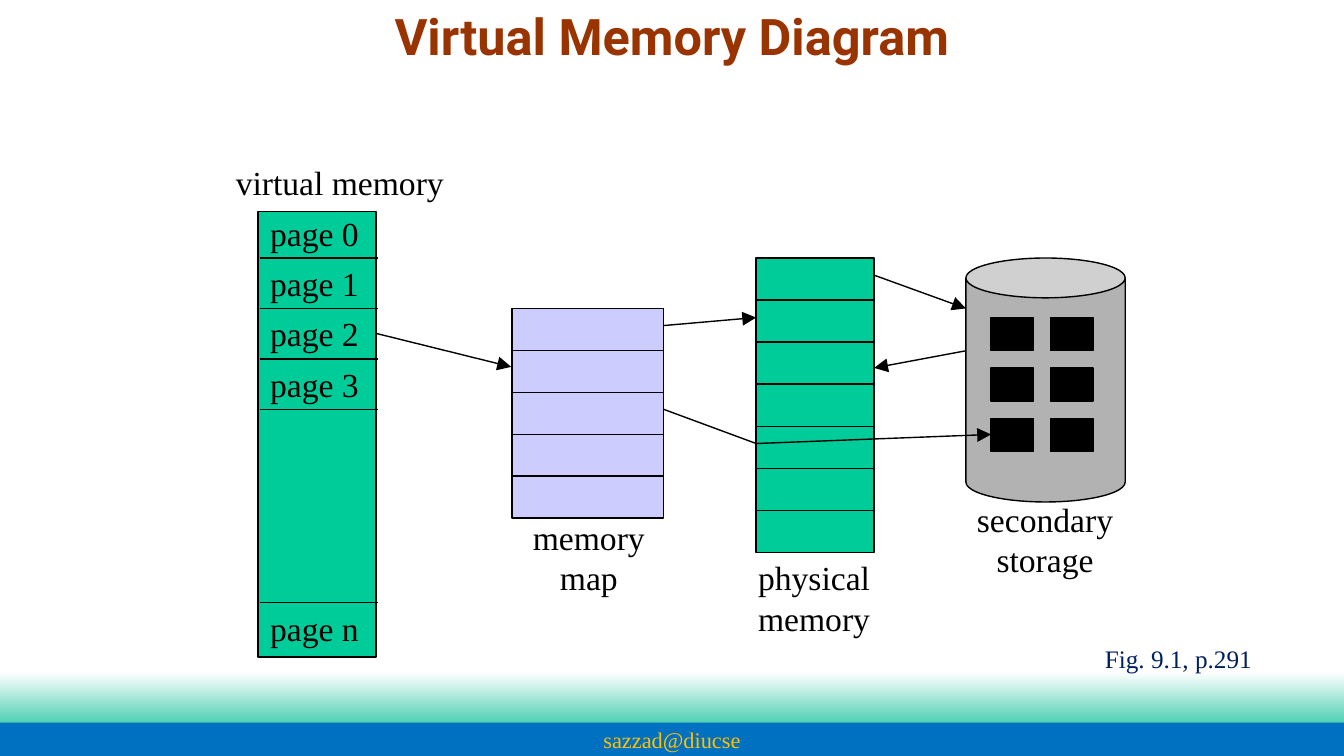
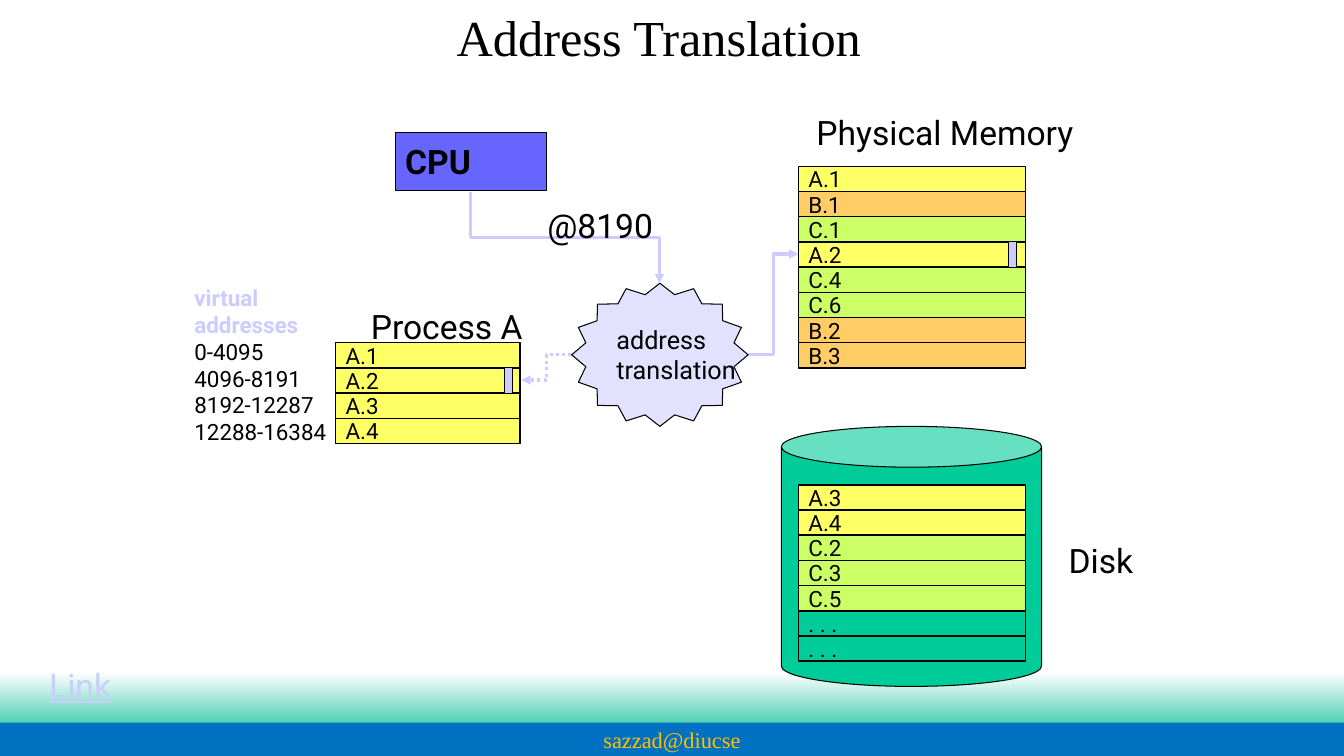
from dataclasses import dataclass, replace
from typing import Optional

from lxml.etree import SubElement
from pptx import Presentation
from pptx.dml.color import RGBColor
from pptx.enum.dml import MSO_LINE
from pptx.enum.shapes import MSO_CONNECTOR, MSO_SHAPE
from pptx.enum.text import MSO_ANCHOR, MSO_AUTO_SIZE, PP_ALIGN
from pptx.oxml.ns import qn
from pptx.util import Inches, Pt

WHITE = RGBColor(0xFF, 0xFF, 0xFF)
BLACK = RGBColor(0x00, 0x00, 0x00)
BLUE = RGBColor(0x00, 0x70, 0xC0)
GOLD = RGBColor(0xFF, 0xC0, 0x00)
MINT = RGBColor(0x50, 0xD0, 0xB4)
RUST = RGBColor(0x99, 0x33, 0x00)
NAVY = RGBColor(0x00, 0x20, 0x60)
GREEN = RGBColor(0x00, 0xCC, 0x99)
LILAC = RGBColor(0xCC, 0xCC, 0xFF)
INDIGO = RGBColor(0x66, 0x66, 0xFF)
GREY = RGBColor(0xB2, 0xB2, 0xB2)
YELLOW = RGBColor(0xFF, 0xFF, 0x66)
ORANGE = RGBColor(0xFF, 0xCC, 0x66)
LIME = RGBColor(0xCC, 0xFF, 0x66)
PROCESS_COLOURS = {"A": YELLOW, "B": ORANGE, "C": LIME}

SERIF, SANS = "Times New Roman", "Roboto"
ROW_HEIGHT = 0.25


@dataclass(frozen=True)
class Style:
    font: str
    size: float = 24
    colour: RGBColor = BLACK
    bold: bool = False
    underline: bool = False


@dataclass(frozen=True)
class Box:
    left: float
    top: float
    width: float
    height: float

    def inches(self) -> tuple:
        return tuple(Inches(v) for v in (self.left, self.top, self.width, self.height))


@dataclass(frozen=True)
class Label:
    text: str
    box: Box
    style: Style
    align: PP_ALIGN = PP_ALIGN.LEFT
    wrap: bool = False


@dataclass(frozen=True)
class Link:
    start: tuple
    end: tuple
    arrow: bool = True
    head_size: str = "lg"
    colour: RGBColor = BLACK
    width: float = 1
    elbow: bool = False
    vertical: bool = False
    dotted: bool = False


@dataclass(frozen=True)
class Memory:
    box: Box
    cells: int
    colour: RGBColor


@dataclass(frozen=True)
class PageStack:
    left: float
    top: float
    width: float
    pages: tuple


SERIF_BODY, SANS_BODY = Style(SERIF), Style(SANS)
PAGE_STYLE = Style(SANS, 16)
RANGE_HEADING = Style(SANS, 16, LILAC, bold=True)


def add_words(paragraph, text: str, style: Style, align=PP_ALIGN.LEFT) -> None:
    paragraph.alignment = align
    for index, words in enumerate(text.split("\n")):
        if index:
            paragraph.add_line_break()
        run = paragraph.add_run()
        run.text = words
        font = run.font
        font.name, font.size = style.font, Pt(style.size)
        font.bold, font.underline = style.bold, style.underline
        font.color.rgb = style.colour


def add_lines(frame, lines: list, align=PP_ALIGN.LEFT) -> None:
    for index, (text, style) in enumerate(lines):
        paragraph = frame.add_paragraph() if index else frame.paragraphs[0]
        add_words(paragraph, text, style, align)


def add_label(slide, label: Label) -> None:
    frame = slide.shapes.add_textbox(*label.box.inches()).text_frame
    frame.word_wrap = label.wrap
    add_lines(frame, [(label.text, label.style)], label.align)


def add_block(slide, box: Box, colour: Optional[RGBColor], kind=MSO_SHAPE.RECTANGLE,
              line: float = 1, lines: Optional[list] = None, align=PP_ALIGN.LEFT):
    block = slide.shapes.add_shape(kind, *box.inches())
    block.shadow.inherit = False
    if colour is None:
        block.fill.background()
    else:
        block.fill.solid()
        block.fill.fore_color.rgb = colour
    if line:
        block.line.color.rgb = BLACK
        block.line.width = Pt(line)
    else:
        block.line.fill.background()
    if lines:
        block.text_frame.word_wrap = False
        block.text_frame.vertical_anchor = MSO_ANCHOR.MIDDLE
        add_lines(block.text_frame, lines, align)
    return block


def add_link(slide, link: Link) -> None:
    (x1, y1), (x2, y2) = link.start, link.end
    if link.vertical:
        middle_x, middle_y = (x1 + x2) / 2, (y1 + y2) / 2
        half_x, half_y = (x2 - x1) / 2, (y2 - y1) / 2
        x1, y1 = middle_x + half_y, middle_y - half_x
        x2, y2 = middle_x - half_y, middle_y + half_x
    kind = MSO_CONNECTOR.ELBOW if link.elbow else MSO_CONNECTOR.STRAIGHT
    connector = slide.shapes.add_connector(kind, *(Inches(v) for v in (x1, y1, x2, y2)))
    connector.line.color.rgb = link.colour
    connector.line.width = Pt(link.width)
    if link.dotted:
        connector.line.dash_style = MSO_LINE.ROUND_DOT
    properties = connector._element.spPr
    if link.vertical:
        properties.find(qn("a:xfrm")).set("rot", "16200000")
    if link.arrow:
        SubElement(properties.find(qn("a:ln")), qn("a:tailEnd"), type="triangle",
                   w=link.head_size, len=link.head_size)
    SubElement(properties, qn("a:effectLst"))


def add_divider(slide, left: float, right: float, y: float) -> None:
    add_link(slide, Link((left, y), (right, y), arrow=False))


def add_memory(slide, memory: Memory) -> None:
    box = memory.box
    add_block(slide, box, memory.colour)
    for cell in range(1, memory.cells):
        add_divider(slide, box.left, box.left + box.width,
                    box.top + cell * box.height / memory.cells)


def add_page_stack(slide, stack: PageStack) -> None:
    for index, page in enumerate(stack.pages):
        row = Box(stack.left, stack.top + index * ROW_HEIGHT, stack.width, ROW_HEIGHT)
        add_block(slide, row, PROCESS_COLOURS.get(page[0]), lines=[(page, PAGE_STYLE)])


def add_titled_slide(deck, title: str, box: Box, style: Style, anchor: MSO_ANCHOR):
    slide = deck.slides.add_slide(deck.slide_layouts[5])
    heading = slide.shapes.title
    heading.left, heading.top, heading.width, heading.height = box.inches()
    frame = heading.text_frame
    frame.auto_size = MSO_AUTO_SIZE.NONE
    frame.vertical_anchor = anchor
    add_words(frame.paragraphs[0], title, style, PP_ALIGN.CENTER)

    glow = add_block(slide, Box(0, 6.67, 13.33, 0.5), WHITE, line=0)
    glow.fill.gradient()
    glow.fill.gradient_angle = 270
    for stop, colour in zip(glow.fill.gradient_stops, (WHITE, MINT)):
        stop.color.rgb = colour
    add_block(slide, Box(0, 7.17, 13.33, 0.33), BLUE, line=0,
              lines=[("sazzad@diucse", Style(SERIF, 16, GOLD))], align=PP_ALIGN.CENTER)
    return slide


def build_memory_diagram(deck) -> None:
    slide = add_titled_slide(deck, "Virtual Memory Diagram", Box(1.66, 0, 10.01, 0.75),
                             Style(SANS, 36, RUST, bold=True), MSO_ANCHOR.TOP)
    add_block(slide, Box(2.56, 2.1, 1.17, 4.42), GREEN)
    for y in (2.56, 3.06, 3.56, 4.06, 5.98):
        add_divider(slide, 2.58, 3.75, y)
    page_tops = {"0": 2.06, "1": 2.56, "2": 3.06, "3": 3.56, "n": 5.98}
    for number, top in page_tops.items():
        add_label(slide, Label(f"page {number}", Box(2.58, top, 1.08, 0.5), SERIF_BODY))

    for memory in (Memory(Box(5.08, 3.06, 1.5, 2.08), 5, LILAC),
                   Memory(Box(7.5, 2.56, 1.17, 2.92), 7, GREEN)):
        add_memory(slide, memory)

    storage = add_block(slide, Box(9.58, 2.56, 1.58, 2.42), GREY, MSO_SHAPE.CAN)
    storage.adjustments[0] = 0.25
    for top in (3.15, 3.65, 4.15):
        for left in (9.83, 10.42):
            add_block(slide, Box(left, top, 0.42, 0.33), BLACK)

    for label in (
        Label("virtual memory", Box(2.24, 1.56, 2.5, 0.5), SERIF_BODY),
        Label("memory\nmap", Box(5.18, 5.08, 1.32, 0.91), SERIF_BODY, PP_ALIGN.CENTER),
        Label("physical\nmemory", Box(7.42, 5.48, 1.32, 0.91), SERIF_BODY),
        Label("secondary\nstorage", Box(9.58, 4.9, 1.57, 0.91), SERIF_BODY, PP_ALIGN.CENTER),
        Label("Fig. 9.1, p.291", Box(10.86, 6.33, 1.8, 0.4), Style(SERIF, 18, NAVY)),
    ):
        add_label(slide, label)

    for link in (
        Link((3.74, 3.31), (5.07, 3.64)),
        Link((6.58, 3.23), (7.5, 3.15)),
        Link((6.58, 4.06), (7.5, 4.4), arrow=False),
        Link((7.5, 4.4), (9.83, 4.31)),
        Link((8.67, 2.73), (9.58, 3.06)),
        Link((9.58, 3.48), (8.67, 3.65)),
    ):
        add_link(slide, link)


def build_address_translation(deck) -> None:
    slide = add_titled_slide(deck, "Address Translation", Box(2.12, 0.03, 8.83, 0.67),
                             Style(SERIF, 36), MSO_ANCHOR.MIDDLE)
    disk = add_block(slide, Box(7.75, 4.23, 2.58, 2.58), GREEN, MSO_SHAPE.CAN, 0.75)
    disk.adjustments[0] = 0.157

    for stack in (
        PageStack(3.33, 3.4, 1.83, ("A.1", "A.2", "A.3", "A.4")),
        PageStack(7.92, 1.65, 2.25,
                  ("A.1", "B.1", "C.1", "A.2", "C.4", "C.6", "B.2", "B.3")),
        PageStack(7.92, 4.81, 2.25,
                  ("A.3", "A.4", "C.2", "C.3", "C.5", ". . .", ". . .")),
    ):
        add_page_stack(slide, stack)

    add_block(slide, Box(3.92, 1.31, 1.5, 0.58), INDIGO, line=0.75,
              lines=[("CPU", replace(SANS_BODY, bold=True))])

    route = Link((4.67, 1.9), (6.54, 2.81), head_size="med", colour=LILAC, width=2.25,
                 elbow=True, vertical=True)
    to_memory = replace(route, start=(7.42, 3.52), end=(7.92, 2.52), vertical=False)
    to_process = replace(to_memory, start=(5.67, 3.52), end=(5.17, 3.77), dotted=True)
    for link in (route, to_memory, to_process):
        add_link(slide, link)

    translator = add_block(slide, Box(5.67, 2.81, 1.75, 1.42), LILAC,
                           MSO_SHAPE.STAR_16_POINT, 0.75,
                           [(word, Style(SANS, 18)) for word in ("address", "translation")])
    translator.adjustments[0] = 0.428
    fill_colour = translator._element.spPr.find(qn("a:solidFill"))[0]
    SubElement(fill_colour, qn("a:alpha"), val="57000")

    for left, top in ((5, 3.65), (10, 2.4)):
        add_block(slide, Box(left, top, 0.08, ROW_HEIGHT), LILAC, line=0.75)

    ranges = slide.shapes.add_textbox(*Box(1.83, 2.77, 1.51, 1.7).inches()).text_frame
    ranges.word_wrap = False
    add_lines(ranges, [(word, RANGE_HEADING) for word in ("virtual", "addresses")]
              + [(span, PAGE_STYLE)
                 for span in ("0-4095", "4096-8191", "8192-12287", "12288-16384")])

    for label in (
        Label("Physical Memory", Box(8, 1.06, 2.77, 0.5), SANS_BODY),
        Label("Disk", Box(10.5, 5.31, 0.86, 0.5), SANS_BODY),
        Label("Process A", Box(3.58, 2.99, 1.72, 0.5), SANS_BODY),
        Label("@8190", Box(5.33, 1.98, 1.29, 0.5), SANS_BODY),
        Label("Link", Box(0.39, 6.55, 1.83, 0.5),
              Style(SANS, 24, LILAC, underline=True), wrap=True),
    ):
        add_label(slide, label)


def main() -> None:
    deck = Presentation()
    deck.slide_width, deck.slide_height = Inches(13.33), Inches(7.5)
    build_memory_diagram(deck)
    build_address_translation(deck)
    deck.save("out.pptx")


if __name__ == "__main__":
    main()
